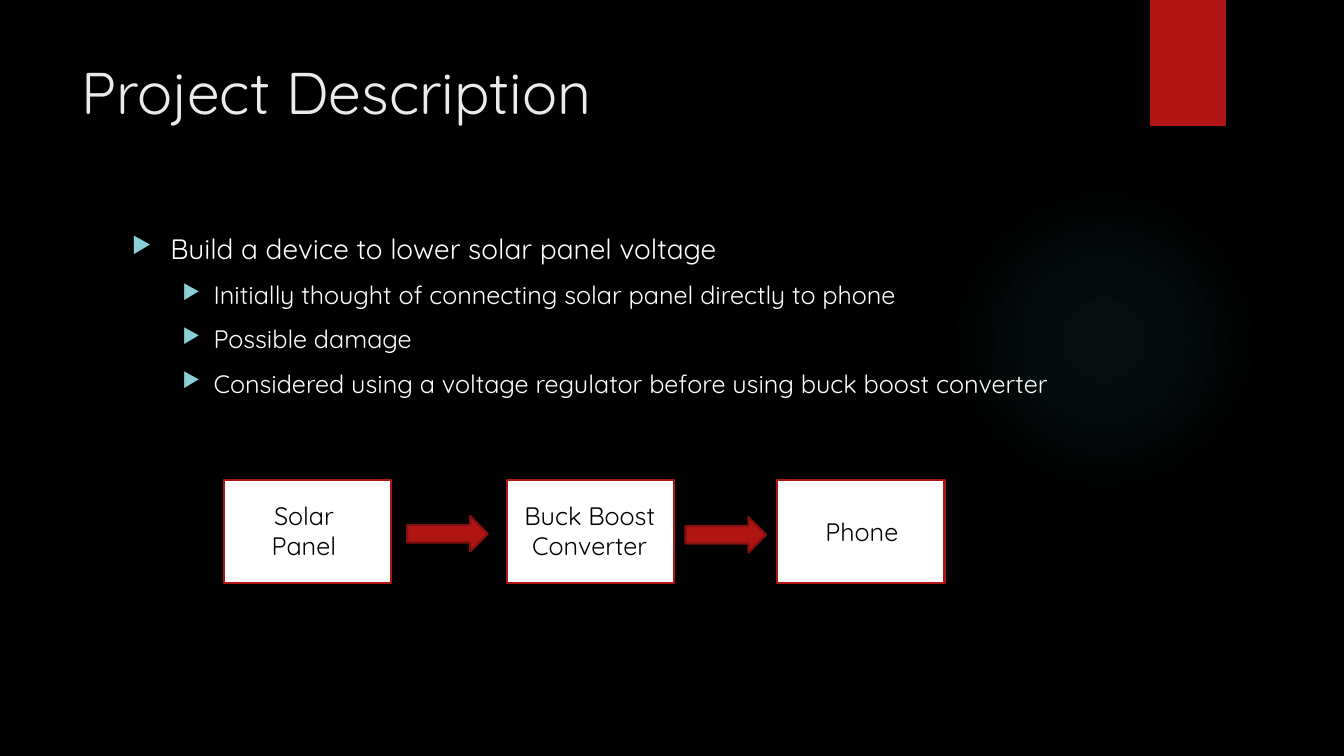
import lxml.etree
import pptx
import pptx.dml.color
import pptx.enum.shapes
import pptx.enum.text
import pptx.oxml
import pptx.oxml.ns
import pptx.util

RGBColor = pptx.dml.color.RGBColor
SHAPE = pptx.enum.shapes.MSO_SHAPE
BLACK = RGBColor(0x00, 0x00, 0x00)
WHITE = RGBColor(0xFF, 0xFF, 0xFF)
TITLE_GREY = RGBColor(0xEB, 0xEB, 0xEB)
RED = RGBColor(0xB0, 0x15, 0x13)
DARK_RED = RGBColor(0x82, 0x10, 0x0E)
GLOW_TEAL = RGBColor(0x50, 0xB9, 0xC1)
BULLET_TEAL = RGBColor(0x8A, 0xD0, 0xD6)
FONT = "Quicksand"

deck = pptx.Presentation()
deck.slide_width = pptx.util.Inches(13.33)
deck.slide_height = pptx.util.Inches(7.5)
slide = deck.slides.add_slide(deck.slide_layouts[6])
slide.background.fill.solid()
slide.background.fill.fore_color.rgb = BLACK


def add_block(kind, left, top, width, height, fill, line=None):
    """Add a preset shape; lengths are percentages of the slide's size."""
    block = slide.shapes.add_shape(
        kind,
        int(deck.slide_width * left / 100), int(deck.slide_height * top / 100),
        int(deck.slide_width * width / 100), int(deck.slide_height * height / 100))
    block.shadow.inherit = False
    block.fill.solid()
    block.fill.fore_color.rgb = fill
    if line is None:
        block.line.fill.background()
    else:
        block.line.color.rgb = line
        block.line.width = pptx.util.Pt(1.5)
    return block


def add_text(left, top, width, height, lines, size, color):
    """Add a text box; lengths are percentages of the slide's size."""
    box = slide.shapes.add_textbox(
        int(deck.slide_width * left / 100), int(deck.slide_height * top / 100),
        int(deck.slide_width * width / 100), int(deck.slide_height * height / 100))
    frame = box.text_frame
    frame.word_wrap = True
    frame.text = "\n".join(lines)
    for paragraph in frame.paragraphs:
        paragraph.font.name = FONT
        paragraph.font.size = pptx.util.Pt(size)
        paragraph.font.color.rgb = color
    return frame


# Backdrop: a faint round glow and the red tab
glow = add_block(SHAPE.OVAL, 70.58, 24.4, 23.1, 41.07, GLOW_TEAL)
stops = "".join(
    f'<a:gs pos="{position * 1000}"><a:srgbClr val="{GLOW_TEAL}">'
    f'<a:alpha val="{opacity * 1000}"/></a:srgbClr></a:gs>'
    for position, opacity in [(0, 7), (36, 6), (69, 0)])
gradient = pptx.oxml.parse_xml(
    f'<a:gradFill {pptx.oxml.ns.nsdecls("a")}><a:gsLst>{stops}</a:gsLst>'
    '<a:path path="circle"><a:fillToRect l="50000" t="50000" r="50000" b="50000"/>'
    '</a:path></a:gradFill>')
solid = glow.element.spPr.find(pptx.oxml.ns.qn("a:solidFill"))
glow.element.spPr.replace(solid, gradient)
add_block(SHAPE.RECTANGLE, 85.58, 0, 5.63, 16.67, RED)

add_text(5.33, 6.67, 77.18, 20.4, ["Project Description"], 42, TITLE_GREY)

# Bulleted points: level, text
points = [
    (0, "Build a device to lower solar panel voltage"),
    (1, "Initially thought of connecting solar panel directly to phone"),
    (1, "Possible damage"),
    (1, "Considered using a voltage regulator before using buck boost converter"),
]
level_styles = [(20, 0.38, -0.38), (18, 0.81, -0.31)]  # size, margin, indent
body = add_text(9.08, 30, 73.35, 61.2, [text for _, text in points], 18, WHITE)
for paragraph, (level, _) in zip(body.paragraphs, points):
    size, margin, indent = level_styles[level]
    paragraph.level = level
    paragraph.font.size = pptx.util.Pt(size)
    paragraph.space_before = pptx.util.Pt(10)
    properties = paragraph._p.get_or_add_pPr()
    properties.set("marL", str(pptx.util.Inches(margin)))
    properties.set("indent", str(pptx.util.Inches(indent)))
    bullet = pptx.oxml.parse_xml(
        f'<a:pPr {pptx.oxml.ns.nsdecls("a")}>'
        f'<a:buClr><a:srgbClr val="{BULLET_TEAL}"/></a:buClr>'
        '<a:buSzPct val="80000"/><a:buChar char="▶"/></a:pPr>')
    defaults = properties.find(pptx.oxml.ns.qn("a:defRPr"))
    for part in list(bullet):
        defaults.addprevious(part)

# Power chain: box left, label, label left, label width, label height
BOX_TOP, BOX_WIDTH, BOX_HEIGHT = 63.47, 12.45, 13.6
stages = [
    (16.65, "Solar Panel", 17.55, 10.13, 9.47),
    (37.73, "Buck Boost Converter", 38.18, 11.4, 9.47),
    (57.83, "Phone", 58.43, 11.4, 5.33),
]
for box_left, *_ in stages:
    add_block(SHAPE.RECTANGLE, box_left, BOX_TOP, BOX_WIDTH, BOX_HEIGHT, WHITE, RED)
for _, label, left, width, height in stages:
    label_top = BOX_TOP + (BOX_HEIGHT - height) / 2
    caption = add_text(left, label_top, width, height, [label], 18, BLACK)
    caption.paragraphs[0].alignment = pptx.enum.text.PP_ALIGN.CENTER
    caption.auto_size = pptx.enum.text.MSO_AUTO_SIZE.SHAPE_TO_FIT_TEXT
for left, top in [(30.3, 68.27), (51, 68.4)]:
    add_block(SHAPE.RIGHT_ARROW, left, top, 6, 4.67, RED, DARK_RED)

deck.save("out.pptx")
